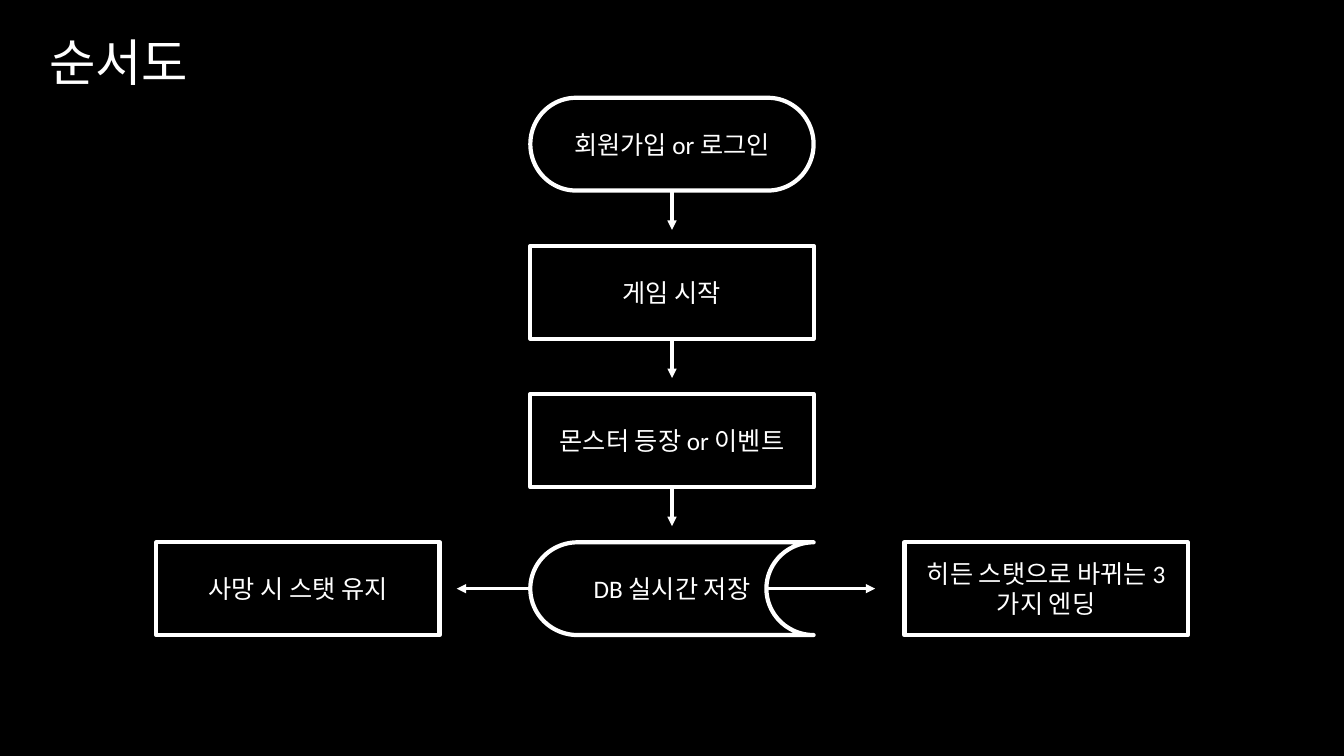
from pptx import Presentation
from pptx import util as u
from pptx.dml.color import RGBColor
from pptx.enum import shapes, text
from pptx.oxml.ns import qn
from lxml import etree

PX = 9144  # EMU per px, 100 px to the inch
KIND = shapes.MSO_SHAPE


def px(n):
    return u.Emu(int(n * PX))


def rgb(code):
    return RGBColor.from_string(code)


class Deck:
    ink, back = "FFFFFF", "000000"
    latin, asian = "Calibri", "Noto Sans CJK KR"

    def __init__(self, wide, high):
        self.prs = Presentation()
        self.prs.slide_width, self.prs.slide_height = px(wide), px(high)
        self.page = self.prs.slides.add_slide(self.prs.slide_layouts[6])
        fill = self.page.background.fill
        fill.solid()
        fill.fore_color.rgb = rgb(self.back)

    def run(self, para, words, size, face):
        """Add one run, with its Korean letters in the Asian font."""
        run = para.add_run()
        run.text = words
        run.font.size, run.font.name = u.Pt(size), face
        run.font.color.rgb = rgb(self.ink)
        latin = run.font._element.find(qn("a:latin"))
        east = etree.Element(qn("a:ea"), typeface=self.asian)
        latin.addnext(east)

    def title(self, words, x, y, w, h):
        box = self.page.shapes.add_textbox(px(x), px(y), px(w), px(h))
        frame = box.text_frame
        frame.word_wrap = False
        frame.auto_size = text.MSO_AUTO_SIZE.SHAPE_TO_FIT_TEXT
        self.run(frame.paragraphs[0], words, 36, self.asian)

    def node(self, words, kind, x, y, w, h):
        node = self.page.shapes.add_shape(kind, px(x), px(y), px(w), px(h))
        node.shadow.inherit = False
        node.fill.background()
        node.line.color.rgb = rgb(self.ink)
        node.line.width = u.Pt(3)
        frame = node.text_frame
        frame.word_wrap = True
        frame.vertical_anchor = text.MSO_ANCHOR.MIDDLE
        para = frame.paragraphs[0]
        para.alignment = text.PP_ALIGN.CENTER
        self.run(para, words, 18, self.latin)
        return node

    def arrow(self, x1, y1, x2, y2, start=None, side=0):
        """Draw an arrow, joined at its start to a side of a node if given."""
        line = self.page.shapes.add_connector(
            shapes.MSO_CONNECTOR.STRAIGHT, px(x1), px(y1), px(x2), px(y2))
        if start is not None:
            line.begin_connect(start, side)
        line.line.color.rgb = rgb(self.ink)
        line.line.width = u.Pt(2.25)
        etree.SubElement(line.line._get_or_add_ln(), qn("a:tailEnd"), type="triangle")
        etree.SubElement(line._element.spPr, qn("a:effectLst"))


def main():
    deck = Deck(1333, 750)
    deck.title("순서도", 39, 26, 166, 71)

    w, h = 281, 92
    left, top, step, side = 526, 97, 147, 371
    mid = left + w / 2
    steps = [
        ("회원가입 or 로그인", KIND.FLOWCHART_TERMINATOR),
        ("게임 시작", KIND.FLOWCHART_PROCESS),
        ("몬스터 등장 or 이벤트", KIND.FLOWCHART_PROCESS),
        ("DB 실시간 저장", KIND.FLOWCHART_STORED_DATA),
    ]
    nodes = [deck.node(words, kind, left, top + i * step, w, h)
             for i, (words, kind) in enumerate(steps)]

    last = top + 3 * step
    for words, x in (("사망 시 스탯 유지", left - side),
                     ("히든 스탯으로 바뀌는 3가지 엔딩", left + side)):
        deck.node(words, KIND.FLOWCHART_PROCESS, x, last, w, h)

    for i, node in enumerate(nodes[:3]):
        foot = top + i * step + h
        deck.arrow(mid, foot, mid, foot + 39, node, 2)
    row = last + h / 2
    deck.arrow(762, row, 868, row)
    deck.arrow(left, row, 453, row, nodes[3], 1)

    deck.prs.save("out.pptx")


if __name__ == "__main__":
    main()
